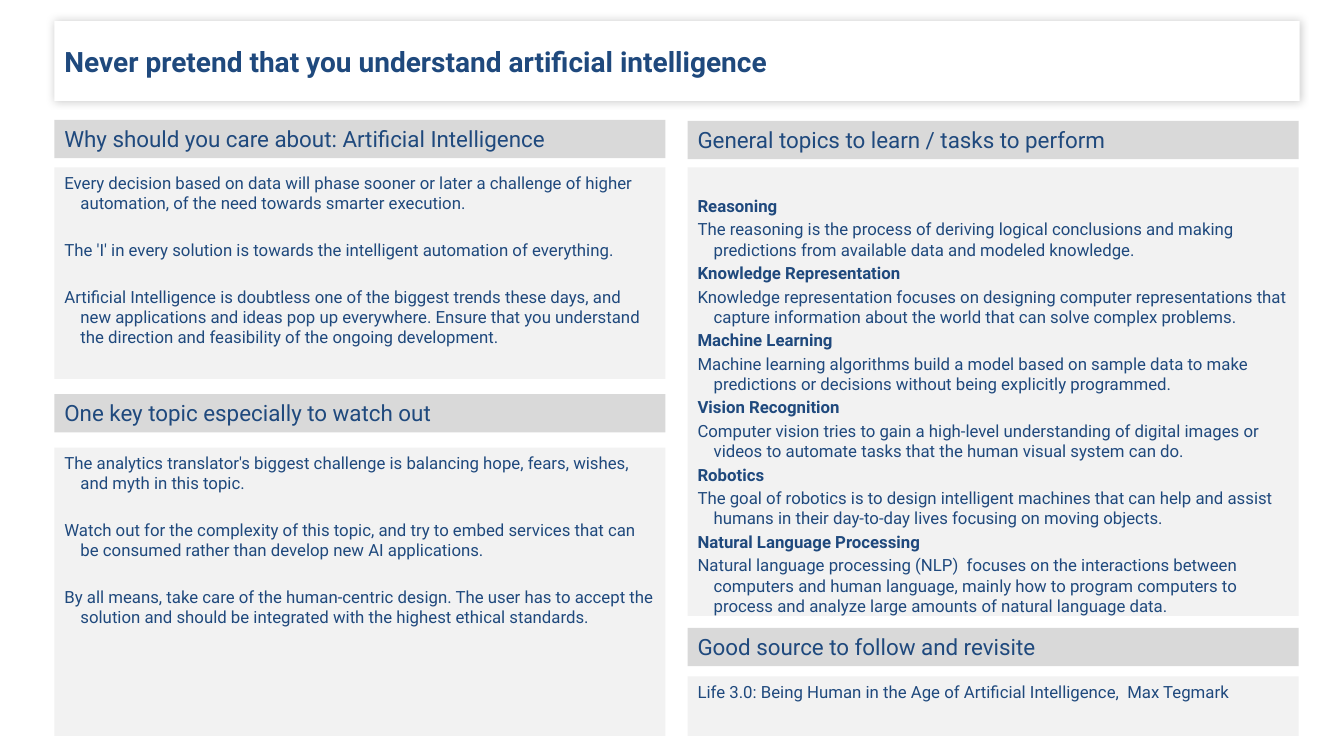
from lxml import etree
from pptx import Presentation
from pptx.dml.color import RGBColor
from pptx.enum.shapes import MSO_SHAPE as SHAPE
from pptx.enum.text import MSO_ANCHOR as ANCHOR, PP_ALIGN as ALIGN
from pptx.oxml.ns import nsdecls, qn
from pptx.util import Inches, Pt

NAVY, WHITE, BAR, PANEL = "1F497D", "FFFFFF", "D9D9D9", "F2F2F2"
LEFT, RIGHT, COL_W = 0.54, 6.82, 6.06
BAR_H, BOTTOM = 0.38, 7.3
TIGHT, LOOSE = 2.4, 19.2

TITLE = "Never pretend that you understand artificial intelligence"
WHY_CARE = [
    "Every decision based on data will phase sooner or later a challenge of higher automation, "
    "of the need towards smarter execution.",
    "The 'I' in every solution is towards the intelligent automation of everything.",
    "Artificial Intelligence is doubtless one of the biggest trends these days, and new "
    "applications and ideas pop up everywhere. Ensure that you understand the direction and "
    "feasibility of the ongoing development.",
]
WATCH_OUT = [
    "The analytics translator's biggest challenge is balancing hope, fears, wishes, and myth "
    "in this topic.",
    "Watch out for the complexity of this topic, and try to embed services that can be consumed "
    "rather than develop new AI applications.",
    "By all means, take care of the human-centric design. The user has to accept the solution "
    "and should be integrated with the highest ethical standards.",
]
TOPICS = {
    "Reasoning":
        "The reasoning is the process of deriving logical conclusions and making predictions "
        "from available data and modeled knowledge.",
    "Knowledge Representation":
        "Knowledge representation focuses on designing computer representations that capture "
        "information about the world that can solve complex problems.",
    "Machine Learning":
        "Machine learning algorithms build a model based on sample data to make predictions or "
        "decisions without being explicitly programmed.",
    "Vision Recognition":
        "Computer vision tries to gain a high-level understanding of digital images or videos "
        "to automate tasks that the human visual system can do.",
    "Robotics":
        "The goal of robotics is to design intelligent machines that can help and assist humans "
        "in their day-to-day lives focusing on moving objects.",
    "Natural Language Processing":
        "Natural language processing (NLP)  focuses on the interactions between computers and "
        "human language, mainly how to program computers to process and analyze large amounts "
        "of natural language data.",
}
SOURCES = ["Life 3.0: Being Human in the Age of Artificial Intelligence,  Max Tegmark"]


def color(value):
    return RGBColor.from_string(value)


def add_box(slide, x, y, w, h, fill, anchor=ANCHOR.TOP):
    """Add a borderless rectangle ready for text."""
    sp = slide.shapes.add_shape(SHAPE.RECTANGLE, Inches(x), Inches(y), Inches(w), Inches(h))
    sp.shadow.inherit = False
    sp.fill.solid()
    sp.fill.fore_color.rgb = color(fill)
    sp.line.fill.background()
    sp.text_frame.word_wrap = True
    sp.text_frame.vertical_anchor = anchor
    return sp


def write(p, text, size, bold=False):
    p.text = text
    p.alignment = ALIGN.LEFT
    p.font.name = "Roboto"
    p.font.size = Pt(size)
    p.font.bold = bold
    p.font.color.rgb = color(NAVY)


def add_soft_shadow(sp):
    effects = sp._element.spPr.find(qn("a:effectLst"))
    effects.append(etree.fromstring(
        f'<a:outerShdw {nsdecls("a")} blurRad="{Pt(6)}" dist="0" dir="18900000" '
        'algn="ctr" rotWithShape="0">'
        '<a:srgbClr val="000000"><a:alpha val="20000"/></a:srgbClr></a:outerShdw>'))


def add_title(slide, x, y, w, h):
    sp = add_box(slide, x, y, w, h, WHITE, ANCHOR.MIDDLE)
    add_soft_shadow(sp)
    write(sp.text_frame.paragraphs[0], TITLE, 20, bold=True)


def add_section(slide, x, y, heading, body_y, body_end, lines, gap=TIGHT, top=0.05):
    """Add a heading bar and a panel of (text, bold) lines with hanging indents."""
    bar = add_box(slide, x, y, COL_W, BAR_H, BAR)
    write(bar.text_frame.paragraphs[0], heading, 16)

    tf = add_box(slide, x, body_y, COL_W, body_end - body_y, PANEL).text_frame
    tf.margin_top = Inches(top)
    for i, (text, bold) in enumerate(lines):
        p = tf.add_paragraph() if i else tf.paragraphs[0]
        pPr = p._p.get_or_add_pPr()
        pPr.set("marL", str(Inches(0.16)))
        pPr.set("indent", str(-Inches(0.16)))
        if i:
            p.space_before = Pt(gap)
        write(p, text, 12, bold)


def plain(texts):
    return [(text, False) for text in texts]


def main():
    prs = Presentation()
    prs.slide_width, prs.slide_height = Inches(13.33), Inches(7.5)
    slide = prs.slides.add_slide(prs.slide_layouts[6])

    add_title(slide, LEFT, 0.21, 12.35, 0.79)
    add_section(slide, LEFT, 1.19, "Why should you care about: Artificial Intelligence",
                1.66, 3.76, plain(WHY_CARE), LOOSE)
    add_section(slide, LEFT, 3.91, "One key topic especially to watch out",
                4.44, BOTTOM, plain(WATCH_OUT), LOOSE)
    topic_lines = [line for name, text in TOPICS.items()
                   for line in ((name, True), (text, False))]
    add_section(slide, RIGHT, 1.2, "General topics to learn / tasks to perform",
                1.66, 6.11, topic_lines, top=0.28)
    add_section(slide, RIGHT, 6.23, "Good source to follow and revisite",
                6.71, BOTTOM, plain(SOURCES))

    prs.save("out.pptx")


if __name__ == "__main__":
    main()
